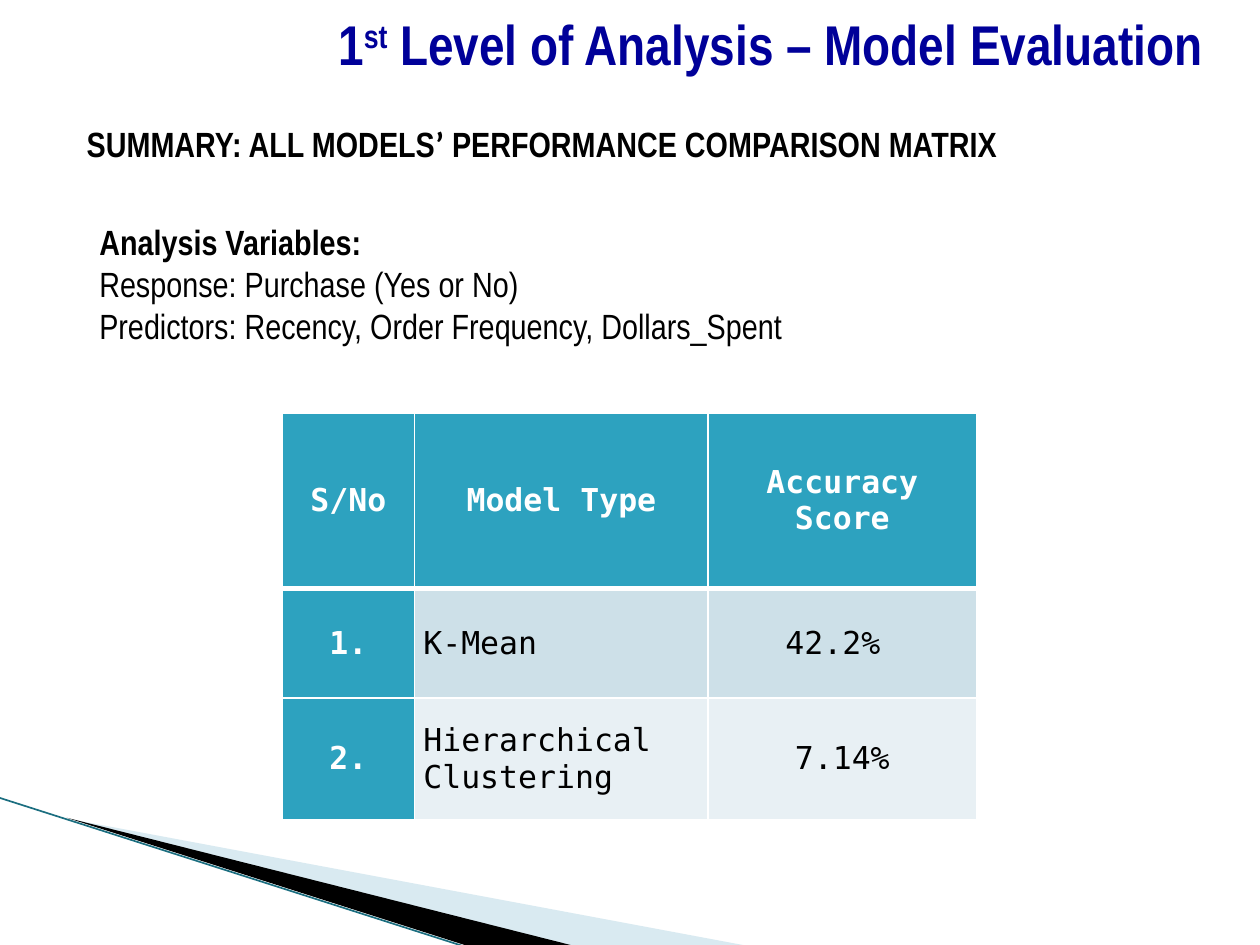
from lxml.etree import SubElement
from pptx import Presentation
from pptx.dml.color import RGBColor
from pptx.enum.shapes import MSO_CONNECTOR
from pptx.enum.text import MSO_ANCHOR, PP_ALIGN
from pptx.oxml import parse_xml
from pptx.oxml.ns import nsdecls, qn
from pptx.util import Inches, Pt

COLORS = {"navy": "000099", "black": "000000", "white": "FFFFFF", "teal": "2DA2BF",
          "band": "CDE0E8", "pale": "E8F0F4", "wedge": "A0CBDC", "edge": "1B6E80"}
NARROW, MONO = "Arial Narrow", "DejaVu Sans Mono"

# Each paragraph is a list of (text, bold, font) runs
TITLE = [[("1", True, NARROW), ("st", True, NARROW),
          (" Level of Analysis – Model Evaluation", True, NARROW)]]
SUMMARY = [[("SUMMARY: ALL MODELS", True, NARROW), ("’", True, "Calibri"),
            (" PERFORMANCE COMPARISON MATRIX", True, NARROW)]]
NOTES = [[("Analysis Variables:", True, NARROW)],
         [("Response: Purchase (Yes or No)", False, NARROW)],
         [("Predictors: Recency, Order Frequency, Dollars_Spent", False, NARROW)]]
ROWS = [("S/No", "Model Type", "Accuracy Score"),
        ("1.", "K-Mean", "42.2% "),
        ("2.", "Hierarchical Clustering", "7.14%")]
WIDTHS = (1.05, 2.33, 2.13)
HEIGHTS = (1.39, 0.87, 0.97)
WEDGES = [("wedge", 40, [(0.55, 6.5), (5.95, 7.51), (4.56, 7.51)]),
          ("black", 100, [(0.53, 6.49), (4.57, 7.51), (3.72, 7.51)])]


def rgb(name):
    return RGBColor.from_string(COLORS[name])


def style(run, size, color, bold, face):
    font = run.font
    font.size, font.bold, font.name = Pt(size), bold, face
    font.color.rgb = rgb(color)


def add_text(box, paras, size, color, align=PP_ALIGN.LEFT, anchor=MSO_ANCHOR.MIDDLE):
    shape = slide.shapes.add_textbox(*map(Inches, box))
    frame = shape.text_frame
    frame.word_wrap = True
    frame.vertical_anchor = anchor
    for i, runs in enumerate(paras):
        para = frame.add_paragraph() if i else frame.paragraphs[0]
        para.alignment = align
        for text, bold, face in runs:
            run = para.add_run()
            run.text = text
            style(run, size, color, bold, face)
    return frame


def add_wedge(color, alpha, points):
    dots = [(Inches(x), Inches(y)) for x, y in points]
    form = slide.shapes.build_freeform(*dots[0])
    form.add_line_segments(dots[1:], close=True)
    shape = form.convert_to_shape()
    shape.shadow.inherit = False
    shape.line.fill.background()
    shape.fill.solid()
    shape.fill.fore_color.rgb = rgb(color)
    if alpha < 100:
        tone = shape.fill._xPr.find(".//" + qn("a:srgbClr"))
        SubElement(tone, qn("a:alpha"), val=str(alpha * 1000))


def add_borders(cell, row):
    thick = {"T": 3 if row == 1 else 1, "B": 3 if row == 0 else 1}
    props = cell._tc.get_or_add_tcPr()
    for i, side in enumerate("LRTB"):
        props.insert(i, parse_xml(
            f'<a:ln{side} {nsdecls("a")} w="{Pt(thick.get(side, 1))}"><a:solidFill>'
            f'<a:srgbClr val="{COLORS["white"]}"/></a:solidFill></a:ln{side}>'))


deck = Presentation()
deck.slide_width, deck.slide_height = Inches(10), Inches(7.5)
slide = deck.slides.add_slide(deck.slide_layouts[6])

# Corner decoration
for wedge in WEDGES:
    add_wedge(*wedge)
edge = slide.shapes.add_connector(MSO_CONNECTOR.STRAIGHT, Inches(-0.01), Inches(6.33),
                                  Inches(3.71), Inches(7.52))
edge.line.color.rgb = rgb("edge")
edge.line.width = Pt(0.95)
SubElement(edge._element.spPr, qn("a:effectLst"))

# Title
title = add_text((0, 0, 9.65, 0.68), TITLE, 32, "navy", PP_ALIGN.RIGHT)
title.paragraphs[0].runs[1].font._element.set("baseline", "30000")

# Model table
table = slide.shapes.add_table(len(ROWS), len(WIDTHS), Inches(2.24), Inches(3.28),
                               Inches(sum(WIDTHS)), Inches(sum(HEIGHTS))).table
for col, width in zip(table.columns, WIDTHS):
    col.width = Inches(width)
for r, (texts, height) in enumerate(zip(ROWS, HEIGHTS)):
    table.rows[r].height = Inches(height)
    for c, text in enumerate(texts):
        cell = table.cell(r, c)
        head = r == 0 or c == 0
        cell.margin_left = cell.margin_right = Inches(0.07)
        cell.margin_top = cell.margin_bottom = 0
        cell.vertical_anchor = MSO_ANCHOR.MIDDLE
        cell.fill.solid()
        cell.fill.fore_color.rgb = rgb("teal" if head else ("band", "pale")[r - 1])
        add_borders(cell, r)
        para = cell.text_frame.paragraphs[0]
        para.text = text
        para.alignment = PP_ALIGN.LEFT if c == 1 and r else PP_ALIGN.CENTER
        style(para.runs[0], 18, "white" if head else "black", head, MONO)

# Summary and variables
add_text((0.59, 0.92, 8.27, 0.44), SUMMARY, 20, "black")
add_text((0.69, 1.7, 8.27, 1.3), NOTES, 20, "black", anchor=MSO_ANCHOR.TOP)

deck.save("out.pptx")
